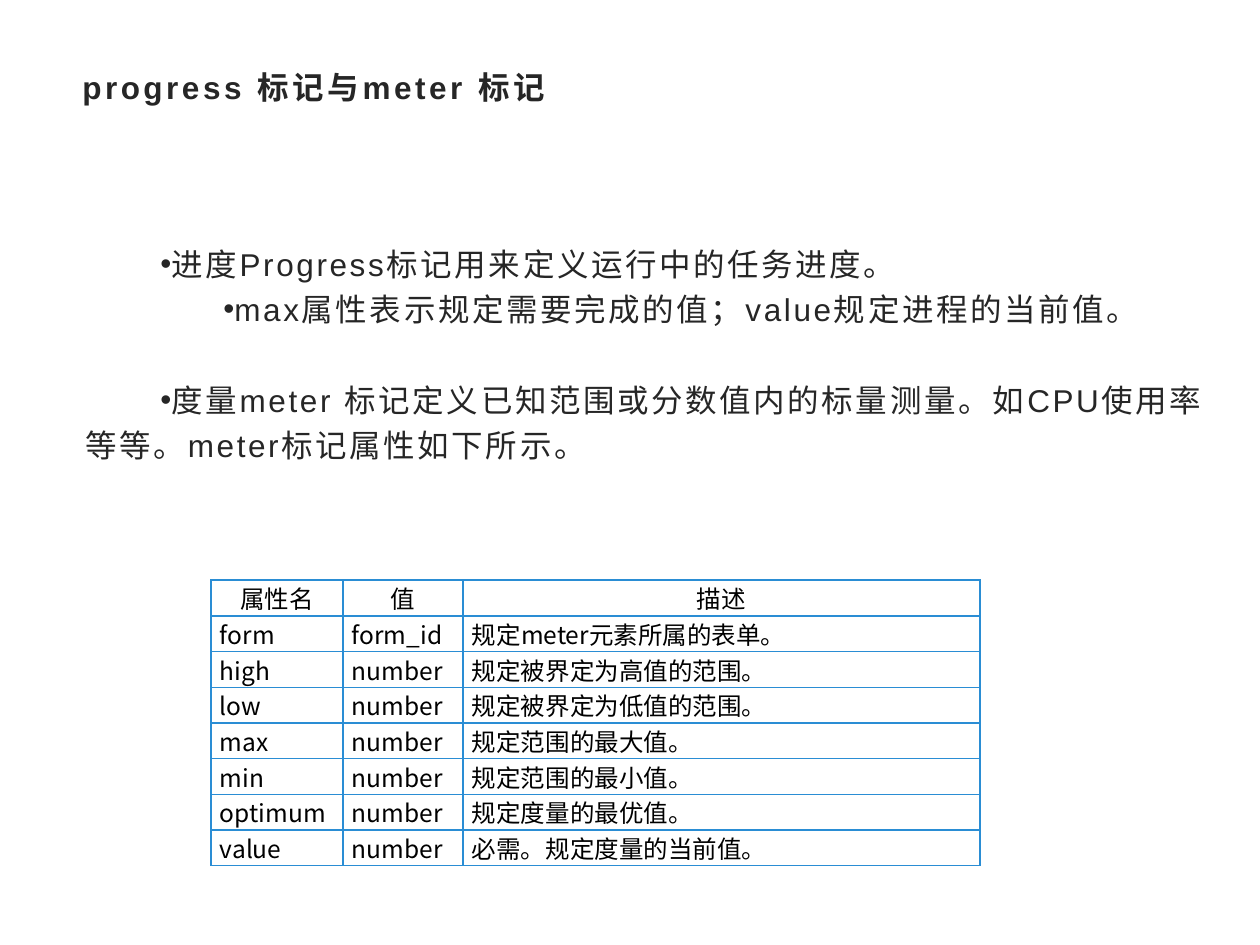
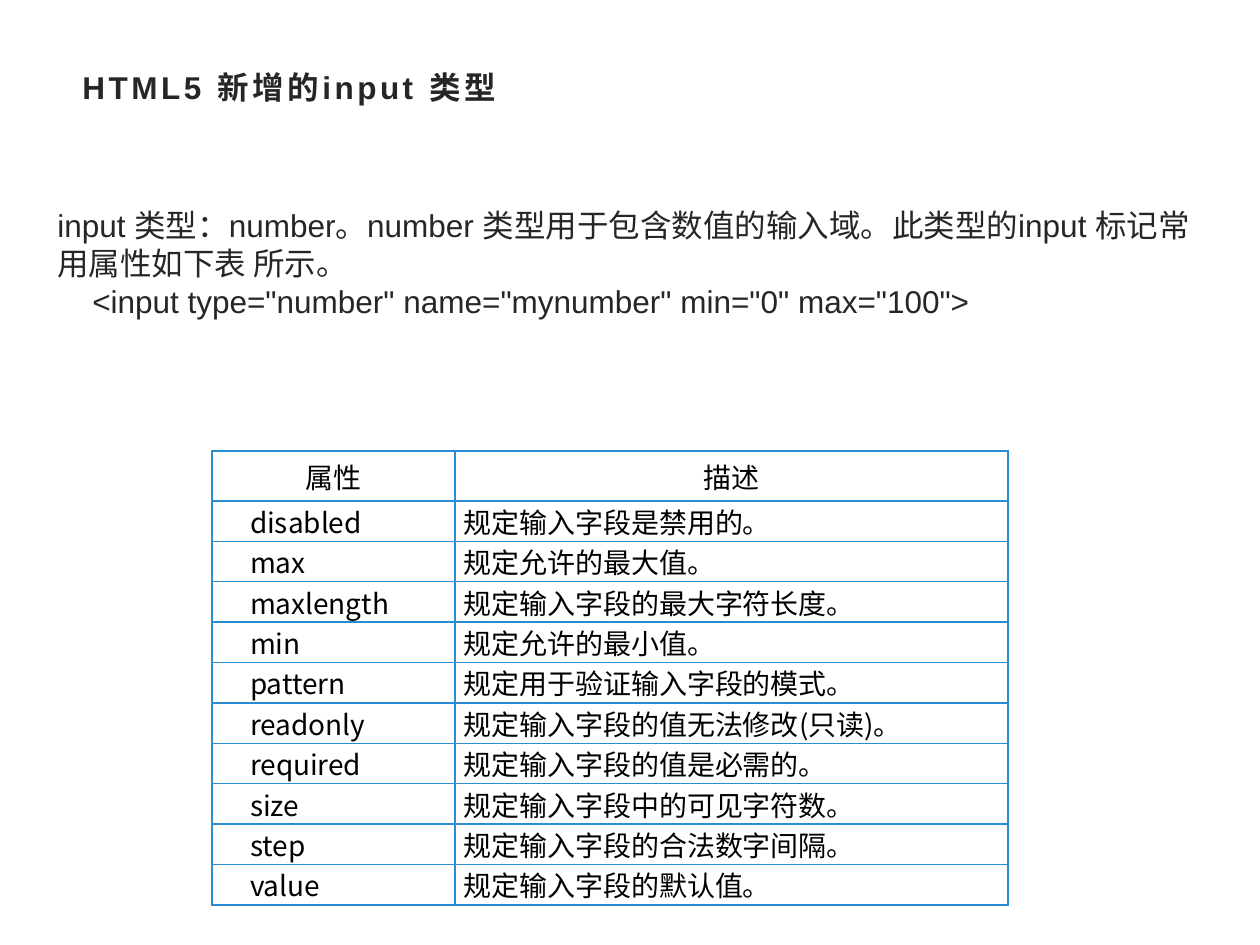
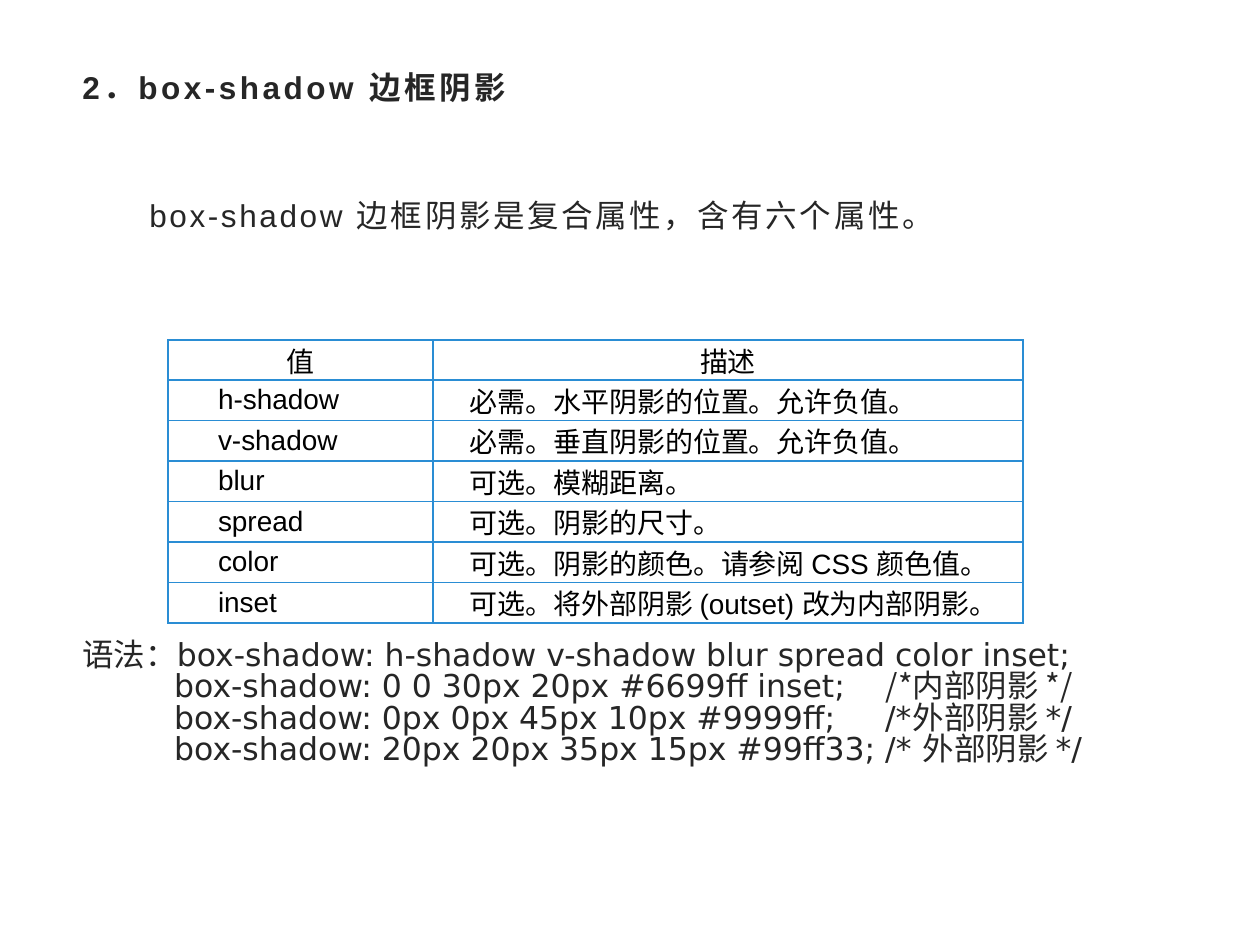
from pptx import Presentation
from pptx.dml.color import RGBColor
from pptx.enum.text import MSO_ANCHOR, PP_ALIGN
from pptx.oxml import parse_xml
from pptx.oxml.ns import nsdecls
from pptx.util import Emu, Pt

COLORS = {"text": "262626", "cell": "000000", "border": "2A8DD4"}
SANS, CJK, CODE = "Arial", "Noto Sans CJK SC", "DejaVu Sans"
TITLE_BOX = (70, 62, 1121, 60)

# Each paragraph: runs as text or (text, font), then its layout options
SLIDES = [
    {
        "title": "progress 标记与meter 标记",
        "texts": [{
            "box": (73, 231, 1176, 284), "spacing": 1.5, "line": 1.2,
            "paragraphs": [
                (["进度Progress标记用来定义运行中的任务进度。"],
                 {"indent": 75, "bullet": True}),
                (["max属性表示规定需要完成的值；value规定进程的当前值。"],
                 {"margin": 63, "indent": 75, "bullet": True}),
                (["度量meter 标记定义已知范围或分数值内的标量测量。"
                  "如CPU使用率等等。meter标记属性如下所示。"],
                 {"indent": 75, "bullet": True, "before": 26}),
            ],
        }],
        "table": {
            "at": (211, 580), "cols": (132, 120, 517), "indents": (0, 0, 0),
            "head_height": 36, "body_height": 250, "size": 14, "font": CJK,
            "rows": [
                ("属性名", "值", "描述"),
                ("form", "form_id", "规定meter元素所属的表单。"),
                ("high", "number", "规定被界定为高值的范围。"),
                ("low", "number", "规定被界定为低值的范围。"),
                ("max", "number", "规定范围的最大值。"),
                ("min", "number", "规定范围的最小值。"),
                ("optimum", "number", "规定度量的最优值。"),
                ("value", "number", "必需。规定度量的当前值。"),
            ],
        },
    },
    {
        "title": "HTML5 新增的input 类型",
        "texts": [{
            "box": (45, 200, 1169, 127),
            "paragraphs": [
                (["input 类型：number。number 类型用于包含数值的输入域。"
                  "此类型的input 标记常用属性如下表 所示。"], {}),
                (['    <input type="number" name="mynumber" min="0" max="100">'], {}),
            ],
        }],
        "table": {
            "at": (212, 451), "cols": (243, 553), "indents": (29, 0),
            "head_height": 50, "body_height": 404, "size": 16, "font": CJK,
            "rows": [
                ("属性", "描述"),
                ("disabled", "规定输入字段是禁用的。"),
                ("max", "规定允许的最大值。"),
                ("maxlength", "规定输入字段的最大字符长度。"),
                ("min", "规定允许的最小值。"),
                ("pattern", "规定用于验证输入字段的模式。"),
                ("readonly", "规定输入字段的值无法修改(只读)。"),
                ("required", "规定输入字段的值是必需的。"),
                ("size", "规定输入字段中的可见字符数。"),
                ("step", "规定输入字段的合法数字间隔。"),
                ("value", "规定输入字段的默认值。"),
            ],
        },
    },
    {
        "title": "2．box-shadow 边框阴影",
        "texts": [
            {
                "box": (69, 179, 1173, 94), "spacing": 1.5, "line": 1.3,
                "paragraphs": [
                    (["box-shadow 边框阴影是复合属性，含有六个属性。"], {"indent": 68}),
                ],
            },
            {
                "box": (42, 635, 1176, 140), "font": CODE, "line": Pt(18),
                "paragraphs": [
                    (["语法：box-shadow: h-shadow v-shadow blur spread color inset;"],
                     {"indent": 28}),
                    (["            box-shadow: 0 0 30px 20px #6699ff inset;    ",
                      ("/*内部阴影 */", CJK)], {}),
                    (["            box-shadow: 0px 0px 45px 10px #9999ff;     /*外部阴影 */"], {}),
                    (["            box-shadow: 20px 20px 35px 15px #99ff33; /* 外部阴影 */"], {}),
                ],
            },
        ],
        "table": {
            "at": (168, 340), "cols": (265, 590), "indents": (41, 28),
            "head_height": 40, "body_height": 243, "size": 16, "font": SANS,
            "rows": [
                ("值", "描述"),
                ("h-shadow", "必需。水平阴影的位置。允许负值。"),
                ("v-shadow", "必需。垂直阴影的位置。允许负值。"),
                ("blur", "可选。模糊距离。"),
                ("spread", "可选。阴影的尺寸。"),
                ("color", "可选。阴影的颜色。请参阅 CSS 颜色值。"),
                ("inset", "可选。将外部阴影 (outset) 改为内部阴影。"),
            ],
        },
    },
]


def px(n):
    return Emu(round(n * 914400 / 126))


def add_run(p, text, font, size, color, bold=False, spacing=0):
    r = p.add_run()
    r.text = text
    r.font.name, r.font.size, r.font.bold = font, Pt(size), bold
    r.font.color.rgb = RGBColor.from_string(COLORS[color])
    rPr = r._r.get_or_add_rPr()
    if spacing:
        rPr.set("spc", str(round(spacing * 100)))
    rPr.find("{*}latin").addnext(
        parse_xml(f'<a:ea {nsdecls("a")} typeface="{CJK}"/>'))


def set_indent(p, margin=0, indent=0):
    pPr = p._p.get_or_add_pPr()
    pPr.set("marL", str(px(margin)))
    pPr.set("indent", str(px(indent)))
    return pPr


def add_text(s, box, paragraphs, font=SANS, line=1.0, bold=False, spacing=0):
    tf = s.shapes.add_textbox(*map(px, box)).text_frame
    tf.word_wrap = True
    for i, (runs, layout) in enumerate(paragraphs):
        p = tf.paragraphs[0] if i == 0 else tf.add_paragraph()
        pPr = set_indent(p, layout.get("margin", 0), layout.get("indent", 0))
        if layout.get("bullet"):
            pPr.append(parse_xml(f'<a:buFont {nsdecls("a")} typeface="{SANS}"/>'))
            pPr.append(parse_xml(f'<a:buChar {nsdecls("a")} char="•"/>'))
        p.line_spacing = line
        if "before" in layout:
            p.space_before = Pt(layout["before"])
        for run in runs:
            text, run_font = (run, font) if isinstance(run, str) else run
            add_run(p, text, run_font, 18, "text", bold, spacing)


def set_borders(cell):
    tcPr = cell._tc.get_or_add_tcPr()
    for i, side in enumerate(("lnL", "lnR", "lnT", "lnB")):
        tcPr.insert(i, parse_xml(
            f'<a:{side} {nsdecls("a")} w="{Pt(1)}"><a:solidFill>'
            f'<a:srgbClr val="{COLORS["border"]}"/></a:solidFill></a:{side}>'))


def add_table(s, at, cols, indents, head_height, body_height, size, font, rows):
    row_height = body_height / (len(rows) - 1)
    table = s.shapes.add_table(len(rows), len(cols), *map(
        px, (*at, sum(cols), head_height + body_height))).table
    table.first_row = table.horz_banding = False
    for column, width in zip(table.columns, cols):
        column.width = px(width)
    for i, row in enumerate(rows):
        table.rows[i].height = px(row_height if i else head_height)
        for j, text in enumerate(row):
            cell = table.cell(i, j)
            cell.fill.background()
            set_borders(cell)
            cell.vertical_anchor = MSO_ANCHOR.MIDDLE
            cell.margin_left = cell.margin_right = px(9)
            cell.margin_top = cell.margin_bottom = 0
            p = cell.text_frame.paragraphs[0]
            p.alignment = PP_ALIGN.JUSTIFY if i else PP_ALIGN.CENTER
            set_indent(p, indent=indents[j] if i else 0)
            add_run(p, text, font, size, "cell")


def main():
    prs = Presentation()
    prs.slide_width, prs.slide_height = px(1260), px(945)
    for content in SLIDES:
        s = prs.slides.add_slide(prs.slide_layouts[6])
        add_text(s, TITLE_BOX, [([content["title"]], {})], bold=True, spacing=2)
        for text in content["texts"]:
            add_text(s, **text)
        add_table(s, **content["table"])
    prs.save("out.pptx")


if __name__ == "__main__":
    main()
